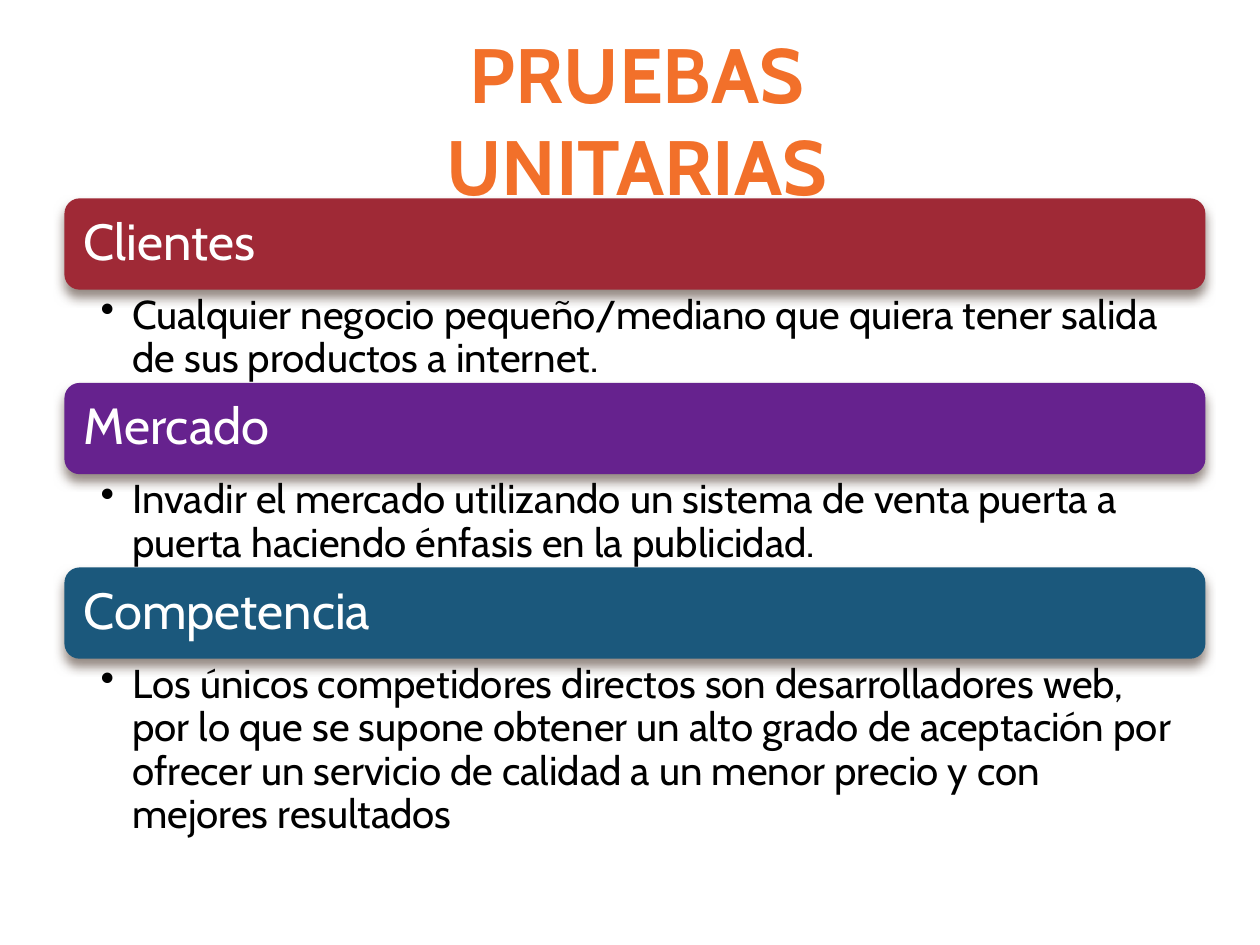
from lxml import etree
from pptx import Presentation
from pptx.dml.color import RGBColor
from pptx.enum import shapes, text
from pptx.oxml import ns
from pptx.util import Cm, Pt

ORANGE = RGBColor(0xF2, 0x70, 0x2A)
RED = RGBColor(0x9F, 0x29, 0x36)
PURPLE = RGBColor(0x66, 0x22, 0x8E)
BLUE = RGBColor(0x1B, 0x58, 0x7C)
BROWN = RGBColor(0x4E, 0x3B, 0x30)
WHITE = RGBColor(0xFF, 0xFF, 0xFF)
BLACK = RGBColor(0, 0, 0)

FONT = "Cabin"
HEADER_H = 1.84
SECTIONS = [
    ("Clientes", RED, 1.88,
     "Cualquier negocio pequeño/mediano que quiera tener salida de sus "
     "productos a internet."),
    ("Mercado", PURPLE, 1.88,
     "Invadir el mercado utilizando un sistema de venta puerta a puerta "
     "haciendo énfasis en la publicidad."),
    ("Competencia", BLUE, 3.58,
     "Los únicos competidores directos son desarrolladores web, por lo que "
     "se supone obtener un alto grado de aceptación por ofrecer un servicio "
     "de calidad a un menor precio y con mejores resultados"),
]


def write(sp, content, size, color, bold=False, align=text.PP_ALIGN.LEFT,
          anchor=text.MSO_ANCHOR.TOP, margins=(0.25, 0.13, 0.25, 0.13),
          spacing=0.9):
    tf = sp.text_frame
    tf.word_wrap = True
    tf.auto_size = text.MSO_AUTO_SIZE.NONE
    tf.vertical_anchor = anchor
    (tf.margin_left, tf.margin_top,
     tf.margin_right, tf.margin_bottom) = map(Cm, margins)
    p = tf.paragraphs[0]
    p.alignment = align
    p.line_spacing = spacing
    r = p.add_run()
    r.text = content
    r.font.name = FONT
    r.font.size = Pt(size)
    r.font.bold = bold
    r.font.color.rgb = color
    return p


def add_bullet(p, indent):
    pPr = p._p.get_or_add_pPr()
    pPr.set("marL", str(Cm(indent)))
    pPr.set("indent", str(-Cm(indent)))
    etree.SubElement(pPr, ns.qn("a:buChar"), char="•")


def add_shadow(sp):
    sp.shadow.inherit = False
    effects = sp._element.spPr.find(ns.qn("a:effectLst"))
    shadow = etree.SubElement(
        effects, ns.qn("a:outerShdw"), blurRad=str(Pt(6)), dist=str(Pt(4)),
        dir="5400000", rotWithShape="0")
    clr = etree.SubElement(shadow, ns.qn("a:srgbClr"), val=str(BROWN))
    etree.SubElement(clr, ns.qn("a:alpha"), val="60000")


def add_title(s, left, top, width, height):
    sp = s.shapes.title
    sp.left, sp.top, sp.width, sp.height = map(Cm, (left, top, width, height))
    write(sp, "PRUEBAS UNITARIAS", 44, ORANGE, bold=True,
          align=text.PP_ALIGN.CENTER, spacing=1.0)


def add_section(s, left, top, width, body_h, heading, color, body):
    header = s.shapes.add_shape(
        shapes.MSO_SHAPE.ROUNDED_RECTANGLE,
        Cm(left), Cm(top), Cm(width), Cm(HEADER_H))
    header.fill.solid()
    header.fill.fore_color.rgb = color
    header.line.fill.background()
    add_shadow(header)
    write(header, heading, 29, WHITE, anchor=text.MSO_ANCHOR.MIDDLE,
          margins=(0.3, 0.3, 0.3, 0.3))

    box = s.shapes.add_textbox(
        Cm(left), Cm(top + HEADER_H), Cm(width), Cm(body_h))
    p = write(box, body, 23, BLACK, margins=(0.73, 0.1, 0.58, 0.1))
    add_bullet(p, 0.64)


def add_sections(s, left, top, width):
    for heading, color, body_h, body in SECTIONS:
        add_section(s, left, top, width, body_h, heading, color, body)
        top += HEADER_H + body_h


def main():
    prs = Presentation()
    prs.slide_width, prs.slide_height = Cm(25.4), Cm(19.05)
    s = prs.slides.add_slide(prs.slide_layouts.get_by_name("Title Only"))
    add_title(s, 5.74, 0.4, 14.2, 2.14)
    add_sections(s, 1.3, 4, 23)
    prs.save("out.pptx")


if __name__ == "__main__":
    main()
